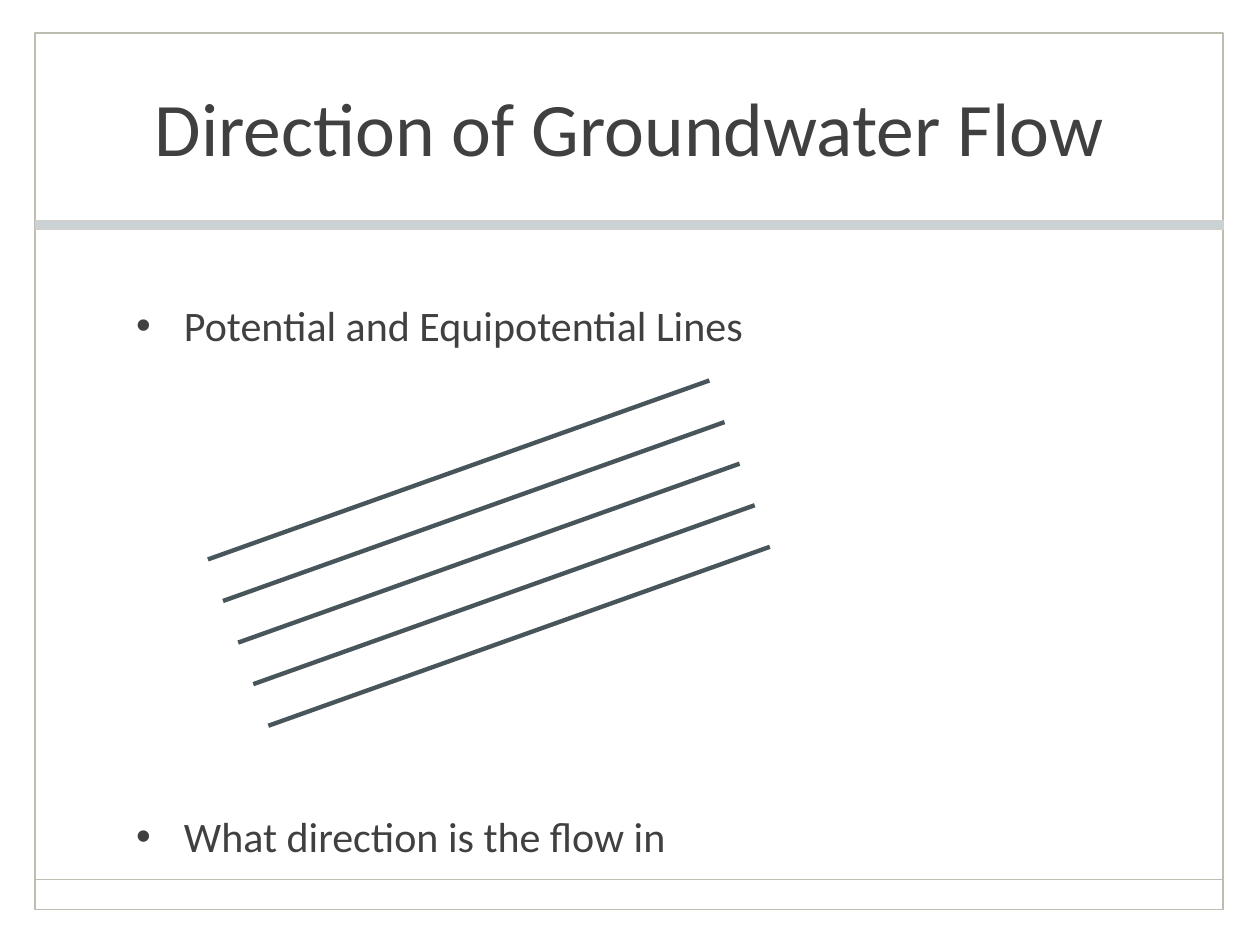
import lxml.etree
import pptx
import pptx.dml.color
import pptx.enum.shapes
import pptx.enum.text
import pptx.oxml.ns
import pptx.util
from dataclasses import dataclass

Inches, Pt = pptx.util.Inches, pptx.util.Pt
RGB = pptx.dml.color.RGBColor.from_string
qn = pptx.oxml.ns.qn
Anchor = pptx.enum.text.MSO_ANCHOR
Align = pptx.enum.text.PP_ALIGN


@dataclass
class Theme:
    font: str = "Calibri"
    text: str = "404040"
    frame: str = "BEBDB2"
    band: str = "CBD2D5"
    band_edge: str = "D1D0C8"
    equipotential: str = "48565C"
    title_size: float = 43.2
    body_size: float = 24


theme = Theme()


def apply_format(target, values):
    for name, value in values.items():
        setattr(target, name, value)


def add_line(start, end, color, width):
    line = slide.shapes.add_connector(
        pptx.enum.shapes.MSO_CONNECTOR.STRAIGHT,
        *(Inches(value) for value in (*start, *end)))
    line.line.color.rgb = RGB(color)
    line.line.width = Pt(width)
    lxml.etree.SubElement(line._element.spPr, qn("a:effectLst"))


deck = pptx.Presentation()
apply_format(deck, {"slide_width": Inches(10), "slide_height": Inches(7.5)})
slide = deck.slides.add_slide(deck.slide_layouts[1])
heading, questions = slide.placeholders

frame_left, frame_width = 0.28, 9.43
for top, height, fill, edge, edge_width in (
    (0.26, 6.96, None, theme.frame, 1),
    (1.75, 0.07, theme.band, theme.band_edge, 0.25),
):
    panel = slide.shapes.add_shape(
        pptx.enum.shapes.MSO_SHAPE.RECTANGLE,
        *(Inches(value) for value in (frame_left, top, frame_width, height)))
    panel.shadow.inherit = False
    if fill:
        panel.fill.solid()
        panel.fill.fore_color.rgb = RGB(fill)
    else:
        panel.fill.background()
    panel.line.color.rgb = RGB(edge)
    panel.line.width = Pt(edge_width)

add_line((frame_left, 6.98), (frame_left + frame_width, 6.98), theme.frame, 1)

for holder, top, height, anchor, align, size, lines in (
    (heading, 0.27, 1.47, Anchor.MIDDLE, Align.CENTER, theme.title_size,
     ["Direction of Groundwater Flow"]),
    (questions, 2.33, 4.3, Anchor.TOP, Align.LEFT, theme.body_size,
     ["Potential and Equipotential Lines", "What direction is the flow in"]),
):
    apply_format(holder, {"left": Inches(0.98), "top": Inches(top),
                          "width": Inches(8.03), "height": Inches(height)})
    holder.text_frame.text = "\n".join(lines)
    apply_format(holder.text_frame, {
        "word_wrap": True, "vertical_anchor": anchor,
        "auto_size": pptx.enum.text.MSO_AUTO_SIZE.NONE})
    for paragraph in holder.text_frame.paragraphs:
        apply_format(paragraph, {"alignment": align, "space_before": Pt(0)})
        if holder is questions:
            properties = paragraph._p.get_or_add_pPr()
            properties.set("marL", str(Inches(0.38)))
            properties.set("indent", str(Inches(-0.38)))
            bullet_color = lxml.etree.SubElement(properties, qn("a:buClr"))
            lxml.etree.SubElement(bullet_color, qn("a:srgbClr"), val=theme.text)
            lxml.etree.SubElement(properties, qn("a:buFont"), typeface="Arial")
            lxml.etree.SubElement(properties, qn("a:buChar"), char="•")
        for run in paragraph.runs:
            apply_format(run.font, {"name": theme.font, "size": Pt(size)})
            run.font.color.rgb = RGB(theme.text)

questions.text_frame.paragraphs[1].space_before = Pt(263)

for index in range(5):
    x, y = 1.65 + 0.12 * index, 4.44 + 0.33 * index
    add_line((x, y), (x + 3.98, y - 1.42), theme.equipotential, 2.5)

deck.save("out.pptx")
